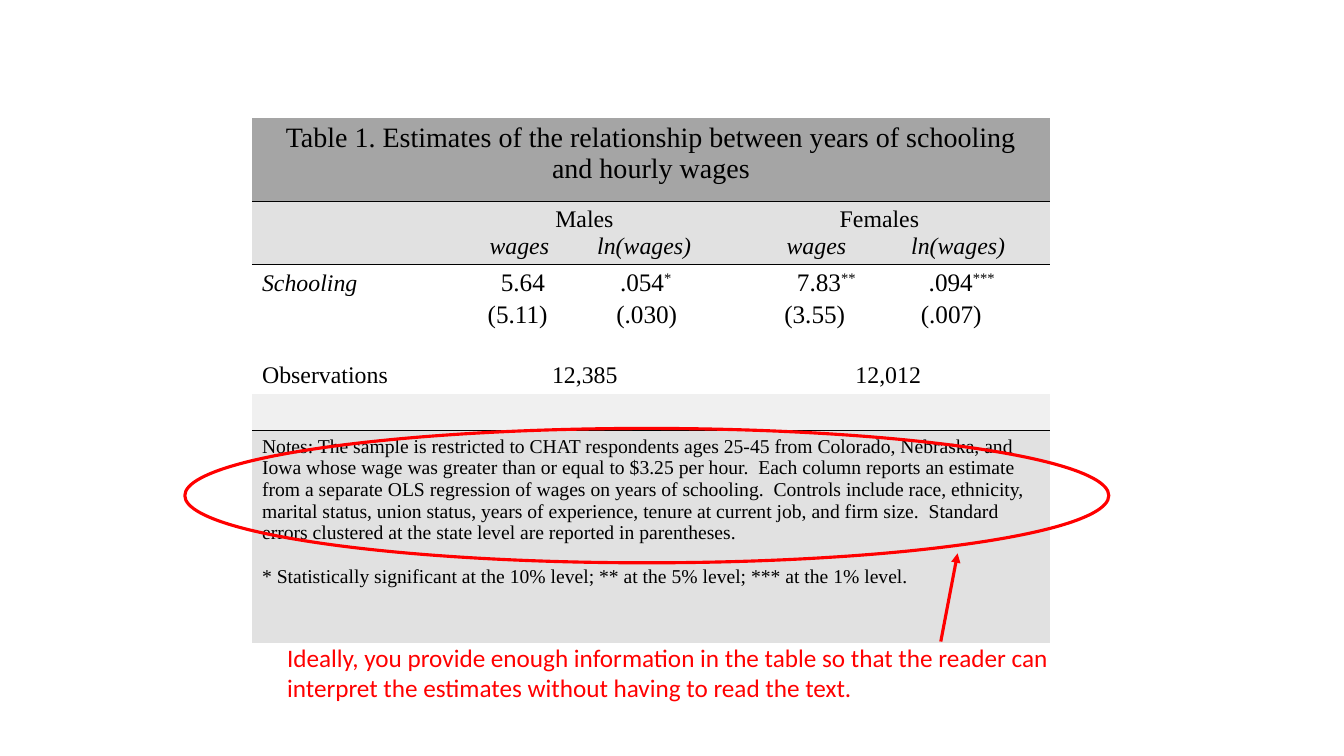
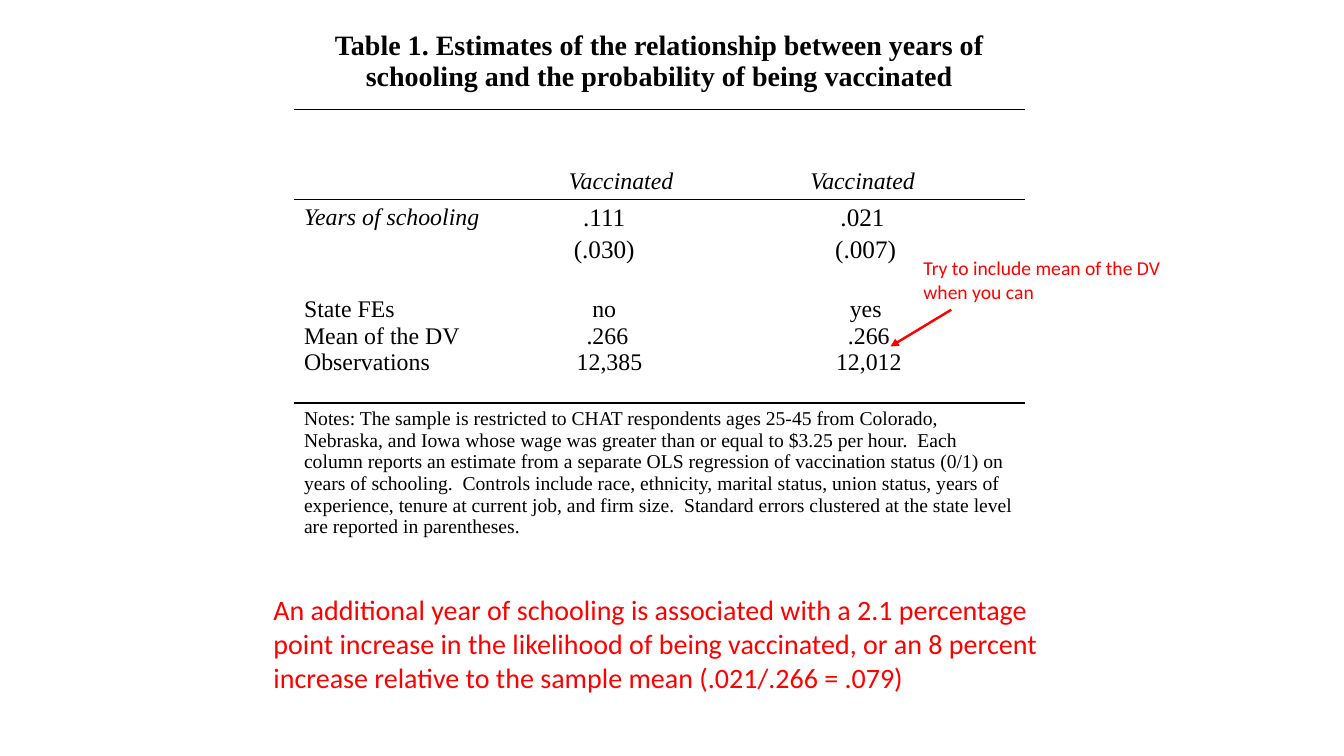
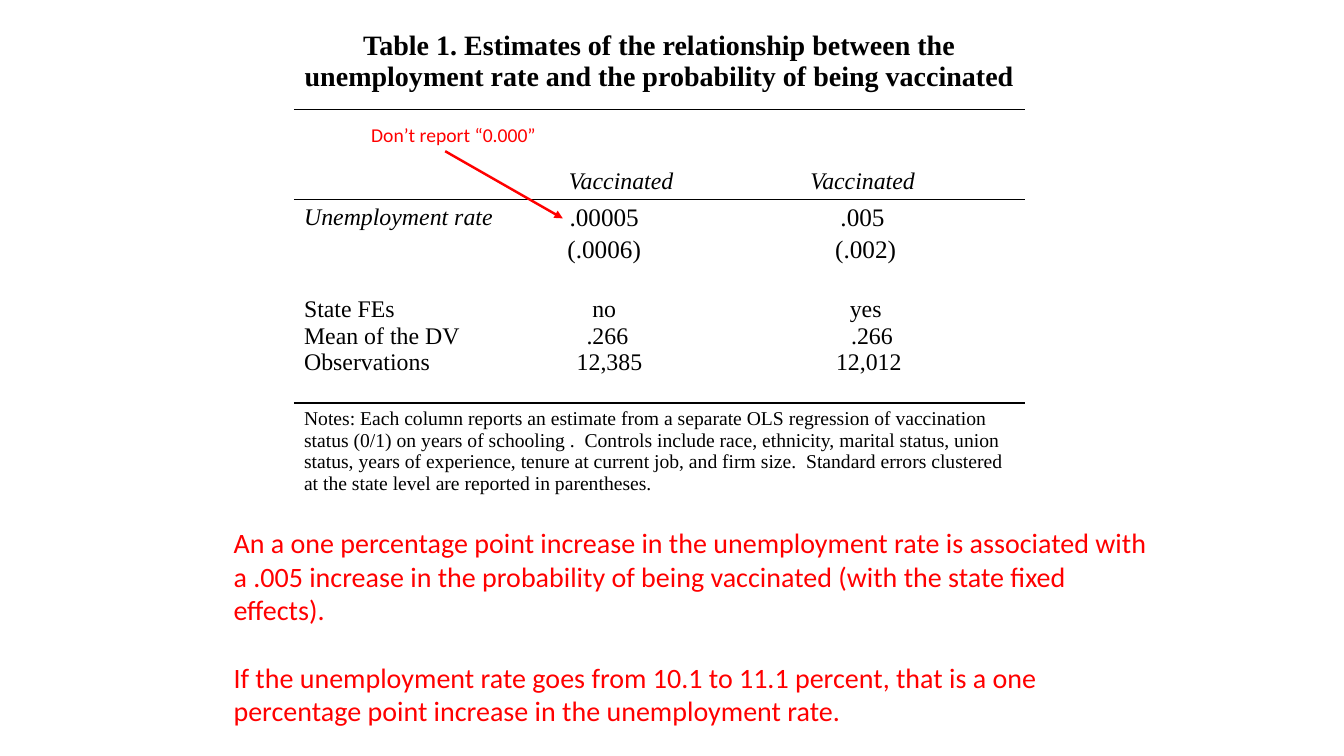
"""Build three slides on reading and annotating regression tables."""
from dataclasses import dataclass
from itertools import groupby

from lxml.etree import SubElement
from pptx import Presentation
from pptx.dml.color import RGBColor
from pptx.enum.shapes import MSO_CONNECTOR, MSO_SHAPE
from pptx.enum.text import MSO_ANCHOR, PP_ALIGN
from pptx.oxml.ns import qn
from pptx.util import Emu, Pt

SCALE = 9525


@dataclass(frozen=True)
class Theme:
    ink: str = "000000"
    accent: str = "FF0000"
    white: str = "FFFFFF"
    title_band: str = "A5A5A5"
    band: str = "E1E1E1"
    spacer_band: str = "F0F0F0"
    serif: str = "Times New Roman"
    sans: str = "Calibri"
    title: int = 20
    body: int = 17
    estimate: int = 18
    note: int = 14
    spacer: int = 8
    rule: int = 1


@dataclass
class Row:
    height: int
    fill: str
    cells: list
    ruled: bool = False
    tight: bool = False
    anchor: MSO_ANCHOR = MSO_ANCHOR.TOP


def px(length):
    return Emu(length * SCALE)


def write(frame, text, size=17, font="Times New Roman", color="000000", bold=False,
          italic=False, align=PP_ALIGN.LEFT, indent=0, tabs=(), spacing=None,
          before=0, stars=False):
    para = frame.paragraphs[-1]
    if para.runs:
        para = frame.add_paragraph()
    properties = para._p.get_or_add_pPr()
    if indent:
        properties.set("marL", str(px(indent)))
    if tabs:
        tab_list = SubElement(properties, qn("a:tabLst"))
        for stop in tabs:
            SubElement(tab_list, qn("a:tab"), pos=str(px(stop)), algn="ctr")
    para.alignment = align
    if spacing:
        para.line_spacing = spacing
    if before:
        para.space_before = Pt(before)
    for raised, letters in groupby(text, lambda letter: stars and letter == "*"):
        span = para.add_run()
        span.text = "".join(letters)
        span.font.name = font
        span.font.size = Pt(size)
        span.font.bold = bold
        span.font.italic = italic
        span.font.color.rgb = RGBColor.from_string(color)
        if raised:
            span._r.get_or_add_rPr().set("baseline", "30000")


theme = Theme()
title_style = dict(size=theme.title, align=PP_ALIGN.CENTER)
body_style = dict(size=theme.body)
italic_style = dict(size=theme.body, italic=True)
estimate_style = dict(size=theme.estimate, spacing=1.15, stars=True)
note_style = dict(size=theme.note)
value_style = dict(size=theme.body, align=PP_ALIGN.CENTER)
centred_estimate = dict(estimate_style, align=PP_ALIGN.CENTER)

wage_rows = [
    Row(80, theme.title_band, [(4, [
        ("Table 1. Estimates of the relationship between years of schooling and hourly wages",
         title_style)])], ruled=True),
    Row(60, theme.band, [(1, []), (3, [
        ("\tMales\tFemales", dict(body_style, tabs=(107, 388))),
        ("\twages\tln(wages)\twages\tln(wages)",
         dict(italic_style, tabs=(45, 164, 328, 463)))])],
        ruled=True, anchor=MSO_ANCHOR.BOTTOM),
    Row(62, theme.white, [
        (1, [("Schooling", italic_style)]),
        (1, [("\t5.64\t.054*", dict(estimate_style, tabs=(51, 168))),
             ("\t(5.11)\t(.030)", dict(estimate_style, tabs=(46, 169)))]),
        (2, [("\t7.83**\t.094***", dict(estimate_style, tabs=(122, 251))),
             ("\t(3.55)\t(.007)", dict(estimate_style, tabs=(111, 241)))])], tight=True),
    Row(61, theme.white, [
        (1, [("Observations", body_style)]),
        (1, [("12,385", dict(value_style, indent=16))]),
        (2, [("12,012", dict(value_style, indent=34))])], anchor=MSO_ANCHOR.BOTTOM),
    Row(35, theme.spacer_band, [(1, [])] * 4, ruled=True),
    Row(202, theme.band, [(4, [
        ("Notes: The sample is restricted to CHAT respondents ages 25-45 from Colorado, "
         "Nebraska, and Iowa whose wage was greater than or equal to $3.25 per hour.  Each "
         "column reports an estimate from a separate OLS regression of wages on years of "
         "schooling.  Controls include race, ethnicity, marital status, union status, years "
         "of experience, tenure at current job, and firm size.  Standard errors clustered at "
         "the state level are reported in parentheses.", note_style),
        ("* Statistically significant at the 10% level; ** at the 5% level; "
         "*** at the 1% level.", dict(note_style, before=16))])]),
]

pages = [dict(
    place=(240, 112), columns=(200, 218, 167, 175), rows=wage_rows,
    ellipses=[(176, 408, 880, 128)],
    arrows=[(896, 611, 912, 527, 2.25)],
    callouts=[((264, 607, 780, 68), 18, [
        "Ideally, you provide enough information in the table so that the reader can "
        "interpret the estimates without having to read the text."])],
)]

vaccination_tables = [
    dict(subject="years of schooling", label="Years of schooling",
         first=(".111", "(.030)"), second=(".021", "(.007)"), mean_indent=16, note_height=256,
         notes="Notes: The sample is restricted to CHAT respondents ages 25-45 from Colorado, "
               "Nebraska, and Iowa whose wage was greater than or equal to $3.25 per hour.  "
               "Each column reports an estimate from a separate OLS regression of vaccination "
               "status (0/1) on years of schooling.  ",
         arrow=(906, 295, 848, 330, 1.75),
         callouts=[
             ((870, 239, 251, 55), 14, ["Try to include mean of the DV when you can"]),
             ((251, 560, 780, 107), 20, [
                 "An additional year of schooling is associated with a 2.1 percentage point "
                 "increase in the likelihood of being vaccinated, or an 8 percent increase "
                 "relative to the sample mean (.021/.266 = .079)"])]),
    dict(subject="the unemployment rate", label="Unemployment rate",
         first=(".00005", "(.0006)"), second=(".005", "(.002)"), mean_indent=22, note_height=211,
         notes="Notes: Each column reports an estimate from a separate OLS regression of "
               "vaccination status (0/1) on years of schooling .  ",
         arrow=(424, 144, 536, 208, 1.75),
         callouts=[
             ((344, 112, 251, 33), 14, ["Don’t report “0.000”"]),
             ((213, 496, 904, 204), 20, [
                 "An a one percentage point increase in the unemployment rate is associated "
                 "with a .005 increase in the probability of being vaccinated (with the state "
                 "fixed effects).",
                 "If the unemployment rate goes from 10.1 to 11.1 percent, that is a one "
                 "percentage point increase in the unemployment rate."])]),
]
controls = ("Controls include race, ethnicity, marital status, union status, years of "
            "experience, tenure at current job, and firm size.  Standard errors clustered at "
            "the state level are reported in parentheses.")

for study in vaccination_tables:
    rows = [
        Row(80, theme.white, [(3, [
            (f"Table 1. Estimates of the relationship between {study['subject']} "
             "and the probability of being vaccinated", dict(title_style, bold=True))])],
            ruled=True),
        Row(86, theme.white, [(1, []), (2, [
            ("\tVaccinated\tVaccinated", dict(italic_style, tabs=(94, 324)))])],
            ruled=True, anchor=MSO_ANCHOR.BOTTOM),
        Row(62, theme.white, [
            (1, [(study["label"], italic_style)]),
            (1, [(text, centred_estimate) for text in study["first"]]),
            (1, [(text, dict(centred_estimate, indent=indent))
                 for text, indent in zip(study["second"], (4, 10))])], tight=True),
        Row(111, theme.white, [
            (1, [(text, body_style) for text in ("State FEs", "Mean of the DV", "Observations")]),
            (1, [(text, dict(value_style, indent=indent))
                 for text, indent in (("no", 0), (".266", 6), ("12,385", 10))]),
            (1, [(text, dict(value_style, indent=indent))
                 for text, indent in (("yes", 10), (".266", study["mean_indent"]),
                                      ("12,012", 16))])], anchor=MSO_ANCHOR.BOTTOM),
        Row(21, theme.white, [(3, [])], ruled=True),
        Row(study["note_height"], theme.white, [(3, [(study["notes"] + controls, note_style)])]),
    ]
    pages.append(dict(place=(280, 24), columns=(208, 175, 313), rows=rows, ellipses=[],
                      arrows=[study["arrow"]], callouts=study["callouts"]))

deck = Presentation()
deck.slide_width, deck.slide_height = px(1280), px(720)

for content in pages:
    page = deck.slides.add_slide(deck.slide_layouts[6])
    rows, columns = content["rows"], content["columns"]
    left, top = content["place"]
    table = page.shapes.add_table(
        len(rows), len(columns), px(left), px(top),
        px(sum(columns)), px(sum(row.height for row in rows))).table
    table.first_row = table.horz_banding = False
    for column, width in zip(table.columns, columns):
        column.width = px(width)

    for number, row in enumerate(rows):
        table.rows[number].height = px(row.height)
        ruled_edges = {"a:lnT": number > 0 and rows[number - 1].ruled, "a:lnB": row.ruled}
        for cell in table.rows[number].cells:
            properties = cell._tc.get_or_add_tcPr()
            for edge in ("a:lnL", "a:lnR", "a:lnT", "a:lnB"):
                border = SubElement(properties, qn(edge), w=str(Pt(theme.rule)))
                if ruled_edges.get(edge):
                    paint = SubElement(border, qn("a:solidFill"))
                    SubElement(paint, qn("a:srgbClr"), val=theme.ink)
                else:
                    SubElement(border, qn("a:noFill"))
            cell.fill.solid()
            cell.fill.fore_color.rgb = RGBColor.from_string(row.fill)
            cell.vertical_anchor = row.anchor

        position = 0
        for width, lines in row.cells:
            cell = table.cell(number, position)
            if width > 1:
                cell.merge(table.cell(number, position + width - 1))
            if row.tight and position:
                cell.margin_left = cell.margin_right = px(7)
                cell.margin_top = cell.margin_bottom = 0
            for text, style in lines:
                write(cell.text_frame, text, **style)
            position += width
        for cell in table.rows[number].cells:
            if not cell.text_frame.text:
                cell.margin_top = cell.margin_bottom = 0
                ending = cell.text_frame.paragraphs[0]._p.get_or_add_endParaRPr()
                ending.set("sz", str(theme.spacer * 100))

    for bounds in content["ellipses"]:
        ring = page.shapes.add_shape(MSO_SHAPE.OVAL, *map(px, bounds))
        ring.shadow.inherit = False
        ring.fill.background()
        ring.line.color.rgb = RGBColor.from_string(theme.accent)
        ring.line.width = Pt(2.25)

    for bounds, size, texts in content["callouts"]:
        box = page.shapes.add_textbox(*map(px, bounds))
        box.text_frame.word_wrap = True
        for order, text in enumerate(texts):
            write(box.text_frame, text, size=size, font=theme.sans, color=theme.accent,
                  before=24 if order else 0)

    for *ends, weight in content["arrows"]:
        arrow = page.shapes.add_connector(MSO_CONNECTOR.STRAIGHT, *map(px, ends))
        arrow.line.color.rgb = RGBColor.from_string(theme.accent)
        arrow.line.width = Pt(weight)
        SubElement(arrow.line._get_or_add_ln(), qn("a:tailEnd"), type="triangle")
        SubElement(arrow._element.spPr, qn("a:effectLst"))

deck.save("out.pptx")
